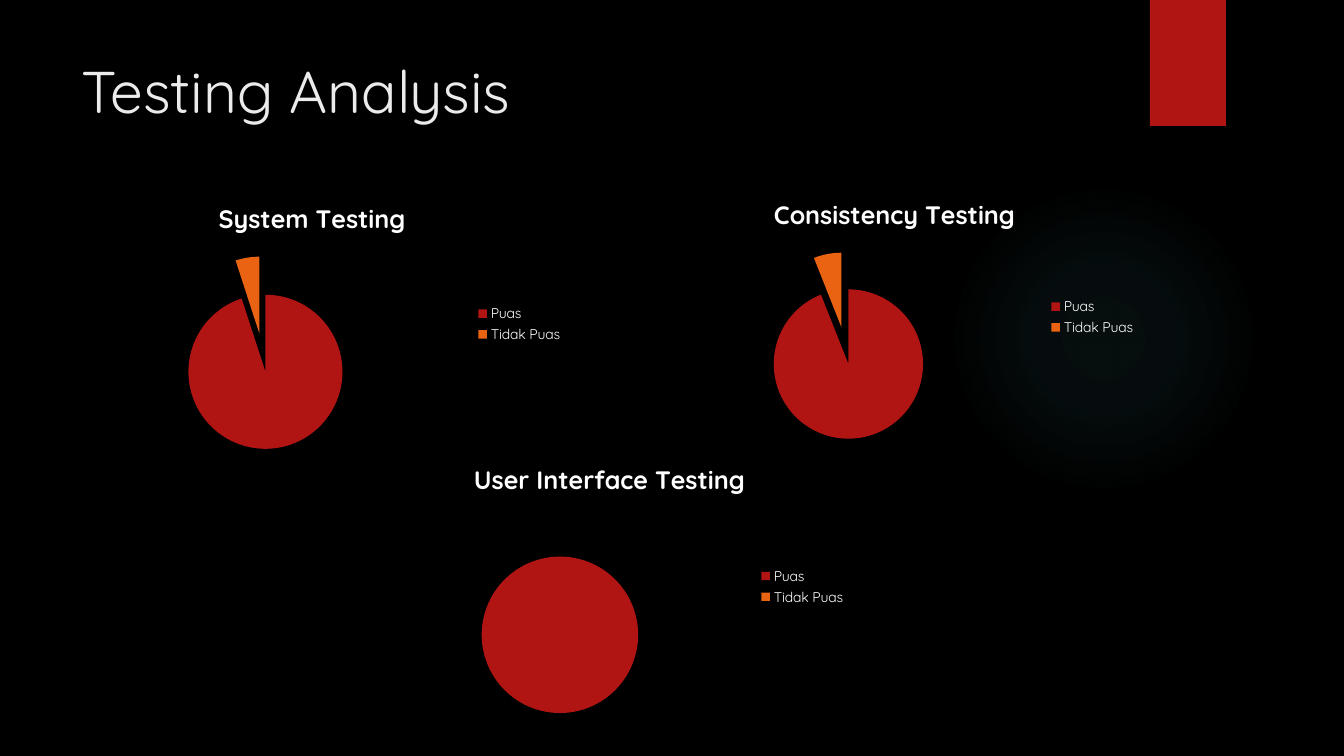
"""Build the Testing Analysis slide with three satisfaction pie charts."""
from lxml import etree
from pptx import Presentation
from pptx import util as u
from pptx.chart.data import CategoryChartData
from pptx.dml.color import RGBColor
from pptx.enum import chart as chart_enum, shapes, text
from pptx.oxml import parse_xml
from pptx.oxml.ns import nsdecls, qn

TITLE = "Testing Analysis"
CATEGORIES = ["Puas", "Tidak Puas"]
PIES = [
    ("System Testing", (95, 5), (51, 185, 522, 278)),
    ("Consistency Testing", (94, 6), (643, 181, 503, 272)),
    ("User Interface Testing", (100, 0), (363, 446, 493, 281)),
]
TITLE_BOX = (72, 50, 1037, 154)
RIBBON_BOX = (1150, 0, 76, 126)
GLOW_BOX = (949, 184, 310, 310)
GLOW_STOPS = [(0, 7), (36, 6), (69, 0)]
EXPLOSION = 25

FONT = "Quicksand"
BLACK = RGBColor(0x00, 0x00, 0x00)
WHITE = RGBColor(0xFF, 0xFF, 0xFF)
OFF_WHITE = RGBColor(0xEB, 0xEB, 0xEB)
RED = RGBColor(0xB0, 0x15, 0x13)
ORANGE = RGBColor(0xEA, 0x63, 0x12)
TEAL = RGBColor(0x50, 0xB9, 0xC1)
EMU_PER_PX = 914400 / 100.8


def px(*lengths):
    return [u.Emu(round(length * EMU_PER_PX)) for length in lengths]


def style_font(font, size, color, bold=False):
    font.name = FONT
    font.size = u.Pt(size)
    font.bold = bold
    font.color.rgb = color


def add_plain_shape(slide, kind, box):
    shape = slide.shapes.add_shape(kind, *px(*box))
    shape.shadow.inherit = False
    shape.line.fill.background()
    return shape


def add_glow(slide):
    glow = add_plain_shape(slide, shapes.MSO_SHAPE.OVAL, GLOW_BOX)
    stops = "".join(
        f'<a:gs pos="{position * 1000}"><a:srgbClr val="{TEAL}">'
        f'<a:alpha val="{alpha * 1000}"/></a:srgbClr></a:gs>'
        for position, alpha in GLOW_STOPS
    )
    gradient = parse_xml(
        f'<a:gradFill {nsdecls("a")}><a:gsLst>{stops}</a:gsLst><a:path path="circle">'
        '<a:fillToRect l="50000" t="50000" r="50000" b="50000"/></a:path></a:gradFill>'
    )
    glow._element.spPr.find(qn("a:prstGeom")).addnext(gradient)


def add_title(slide):
    frame = slide.shapes.add_textbox(*px(*TITLE_BOX)).text_frame
    frame.word_wrap = True
    frame.vertical_anchor = text.MSO_ANCHOR.TOP
    paragraph = frame.paragraphs[0]
    paragraph.text = TITLE
    style_font(paragraph.font, 42, OFF_WHITE)


def add_pie(slide, name, values, box):
    data = CategoryChartData()
    data.categories = CATEGORIES
    data.add_series(name, values)
    chart = slide.shapes.add_chart(chart_enum.XL_CHART_TYPE.PIE, *px(*box), data).chart
    style_font(chart.font, 10, WHITE)

    chart.has_title = True
    chart.chart_title.include_in_layout = False
    heading = chart.chart_title.text_frame.paragraphs[0]
    heading.text = name
    style_font(heading.font, 18, WHITE, bold=True)

    chart.has_legend = True
    chart.legend.position = chart_enum.XL_LEGEND_POSITION.RIGHT
    chart.legend.include_in_layout = False
    style_font(chart.legend.font, 10, WHITE)

    plot = chart.plots[0]
    plot.vary_by_categories = True
    series = plot.series[0]
    explosion = etree.Element(qn("c:explosion"), val=str(EXPLOSION))
    series._element.find(qn("c:tx")).addnext(explosion)
    for index, color in enumerate((RED, ORANGE)):
        point_format = series.points[index].format
        point_format.fill.solid()
        point_format.fill.fore_color.rgb = color
        point_format.line.fill.background()


def main():
    presentation = Presentation()
    presentation.slide_width, presentation.slide_height = px(1344, 756)
    slide = presentation.slides.add_slide(presentation.slide_layouts[6])
    slide.background.fill.solid()
    slide.background.fill.fore_color.rgb = BLACK

    add_glow(slide)
    ribbon = add_plain_shape(slide, shapes.MSO_SHAPE.RECTANGLE, RIBBON_BOX)
    ribbon.fill.solid()
    ribbon.fill.fore_color.rgb = RED
    add_title(slide)
    for name, values, box in PIES:
        add_pie(slide, name, values, box)
    presentation.save("out.pptx")


if __name__ == "__main__":
    main()
